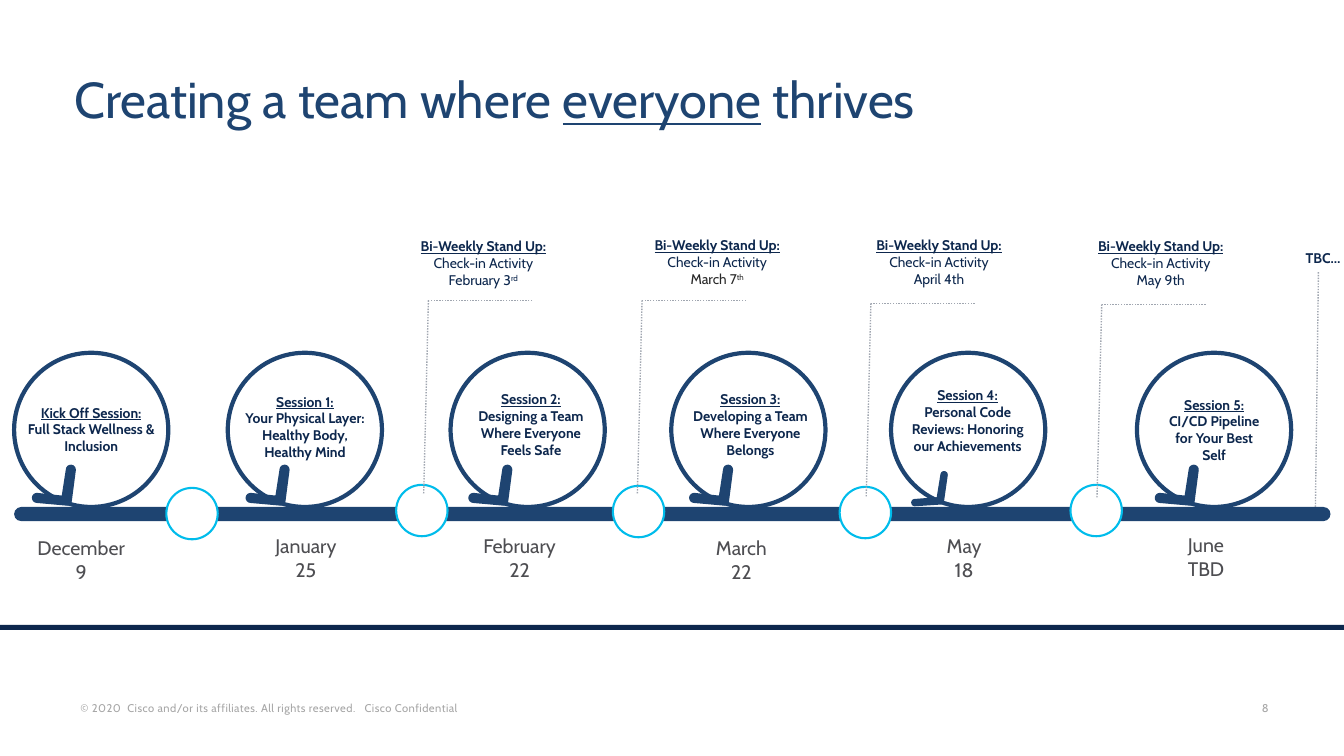
import math

from lxml import etree
from pptx import Presentation
from pptx import util as u
from pptx.dml.color import RGBColor
from pptx.enum import dml, shapes, text
from pptx.oxml.ns import qn

COLUMNS, ROWS = 40, 22.5
CELL = u.Inches(1 / 3)
FONT = "Cabin"
BLUE, NAVY, CYAN, WHITE = "1E4471", "0D274D", "00BCEB", "FFFFFF"
DATE_GREY, LEADER_GREY, FOOTER_GREY, INK = "4E4E52", "A0A6B0", "A6A6A6", "282828"

RING_TOP, RING_SIZE = 10.5, 4.59
BAR_TOP, BEAD_SIZE = 15.09, 1.53
BOLD, HEADING = {"bold": True}, {"bold": True, "underline": True}

# Tail, corner and tip measured from the ring's left edge, then the arm's half width
TICK = ((0.68, 14.82), (1.57, 14.9), (1.69, 13.98), 0.15)
SMALL_TICK = ((0.71, 14.96), (1.47, 14.91), (1.58, 14.13), 0.11)

# Ring left, tick, label box (left, top, width), heading, topic
SESSIONS = [
    (0.42, TICK, (0.42, 11.88, 4.59), "Kick Off Session:", "Full Stack Wellness & Inclusion"),
    (6.78, TICK, (6.9, 11.55, 4.35), "Session 1:",
     "Your Physical Layer: Healthy Body, Healthy Mind"),
    (13.41, TICK, (13.8, 11.49, 4), "Session 2:", "Designing a Team Where Everyone Feels Safe"),
    (19.98, TICK, (20.28, 11.49, 4.11), "Session 3:", "Developing a Team Where Everyone Belongs"),
    (26.52, SMALL_TICK, (26.76, 11.37, 4.08), "Session 4:",
     "Personal Code Reviews: Honoring our Achievements"),
    (33.84, TICK, (34.47, 11.64, 3.33), "Session 5:", "CI/CD Pipeline for Your Best Self"),
]
DATES = [
    (0.75, 15.81, ["December 9"]),
    (7.44, 15.75, ["January", "25"]),
    (13.8, 15.75, ["February", "22"]),
    (20.4, 15.81, ["March", "22"]),
    (27.03, 15.75, ["May", "18"]),
    (34.23, 15.72, ["June", "TBD"]),
]
BEADS = [(4.95, 14.52), (11.79, 14.43), (18.24, 14.46), (24.99, 14.49), (31.86, 14.43)]
# Text left and top, leader left and top, date, ordinal, date colour
STAND_UPS = [
    (12.21, 6.93, 12.75, 8.94, "February 3", "rd", NAVY),
    (19.17, 6.9, 19.11, 8.94, "March 7", "th", INK),
    (25.77, 6.9, 25.92, 9.03, "April 4th", "", NAVY),
    (32.37, 6.93, 32.79, 9.06, "May 9th", "", NAVY),
]


def grid(*cells):
    return [round(cell * CELL) for cell in cells]


def color(hex_value):
    return RGBColor.from_string(hex_value)


def style(shape, fill=None, line=None, width=0):
    shape.shadow.inherit = False
    if fill:
        shape.fill.solid()
        shape.fill.fore_color.rgb = color(fill)
    else:
        shape.fill.background()
    if line:
        shape.line.color.rgb = color(line)
        shape.line.width = u.Pt(width)
    else:
        shape.line.fill.background()
    return shape


def add_preset(slide, kind, box, **look):
    return style(slide.shapes.add_shape(kind, *grid(*box)), **look)


def add_run(paragraph, words, size, hex_value, bold=False, underline=False,
            superscript=False, spacing=0):
    run = paragraph.add_run()
    run.text = words
    font = run.font
    font.name, font.size, font.bold, font.underline = FONT, u.Pt(size), bold, underline
    font.color.rgb = color(hex_value)
    properties = run._r.get_or_add_rPr()
    if superscript:
        properties.set("baseline", "30000")
    if spacing:
        properties.set("spc", str(spacing))


def add_text(slide, box, paragraphs, size, hex_value, align=text.PP_ALIGN.CENTER,
             anchor=text.MSO_ANCHOR.TOP, wrap=True):
    """Each paragraph is a list of (words, run options); None is a line break."""
    frame = slide.shapes.add_textbox(*grid(*box)).text_frame
    frame.word_wrap = wrap
    frame.vertical_anchor = anchor
    for index, runs in enumerate(paragraphs):
        paragraph = frame.add_paragraph() if index else frame.paragraphs[0]
        paragraph.alignment = align
        for item in runs:
            if item is None:
                paragraph.add_line_break()
            else:
                words, options = item
                add_run(paragraph, words, size, **{"hex_value": hex_value, **options})


def add_leader(slide, start, end):
    line = slide.shapes.add_connector(shapes.MSO_CONNECTOR.STRAIGHT, *grid(*start, *end))
    line.line.color.rgb = color(LEADER_GREY)
    line.line.width = u.Pt(1)
    line.line.dash_style = dml.MSO_LINE.ROUND_DOT
    etree.SubElement(line._element.spPr, qn("a:effectLst"))


def arc(center, radius, start, end):
    angles = [math.radians(start + (end - start) * step / 8) for step in range(9)]
    return [(center[0] + radius * math.cos(a), center[1] + radius * math.sin(a)) for a in angles]


def add_tick(slide, ring_left, tick):
    """Round-ended arrowhead where a ring meets the timeline."""
    *joints, radius = tick
    tail, corner, tip = [(ring_left + x, y) for x, y in joints]
    outline = (arc(tail, radius, 275, 95) + arc(corner, radius, 95, 5)
               + arc(tip, radius, 5, -175) + [(corner[0] - radius, corner[1] - radius)])
    points = [tuple(grid(*point)) for point in outline]
    builder = slide.shapes.build_freeform(*points[0])
    builder.add_line_segments(points[1:], close=True)
    style(builder.convert_to_shape(), fill=BLUE)


def add_title(slide):
    title = slide.shapes.title
    title.left, title.top, title.width, title.height = grid(1.92, 1.5, 36.51, 3.21)
    frame = title.text_frame
    frame.auto_size = text.MSO_AUTO_SIZE.NONE
    frame.vertical_anchor = text.MSO_ANCHOR.MIDDLE
    paragraph = frame.paragraphs[0]
    paragraph.alignment = text.PP_ALIGN.LEFT
    paragraph.line_spacing = 0.8
    add_run(paragraph, "Creating a team where ", 36, BLUE)
    add_run(paragraph, "everyone", 36, BLUE, underline=True)
    add_run(paragraph, " thrives", 36, BLUE)


def add_timeline(slide):
    oval = shapes.MSO_SHAPE.OVAL
    bar = add_preset(slide, shapes.MSO_SHAPE.ROUNDED_RECTANGLE, (0.42, BAR_TOP, 39.18, 0.42),
                     fill=BLUE)
    bar.adjustments[0] = 0.5
    for left, tick, label, heading, topic in SESSIONS:
        add_preset(slide, oval, (left, RING_TOP, RING_SIZE, RING_SIZE), line=BLUE, width=3)
        add_tick(slide, left, tick)
        add_text(slide, (*label, 2.31), [[(heading, HEADING), None, (topic, BOLD)]], 10, NAVY)
    for left, top in BEADS:
        add_preset(slide, oval, (left, top, BEAD_SIZE, BEAD_SIZE),
                   fill=WHITE, line=CYAN, width=1.5)
    for left, top, lines in DATES:
        add_text(slide, (left, top, 3.33, 1.71), [[(line, {})] for line in lines], 14, DATE_GREY)


def add_stand_ups(slide):
    for left, top, leader_left, leader_top, date, ordinal, date_color in STAND_UPS:
        corner = (leader_left, leader_top)
        add_leader(slide, corner, (leader_left - 0.14, leader_top + 5.76))
        add_leader(slide, (leader_left + 3.09, leader_top), corner)
        when = [(date, {"hex_value": date_color})]
        if ordinal:
            when.append((ordinal, {"hex_value": date_color, "superscript": True}))
        add_text(slide, (left, top, 4.35, 1.83),
                 [[("Bi-Weekly Stand Up:", HEADING)], [("Check-in Activity", {})], when],
                 10, NAVY)
    add_text(slide, (38.01, 7.29, 2.73, 0.81), [[("TBC…", BOLD)]], 10, NAVY)
    add_leader(slide, (39.24, 8.1), (39.15, BAR_TOP))


def add_footer(slide):
    add_preset(slide, shapes.MSO_SHAPE.RECTANGLE, (0, 18.6, COLUMNS, 0.15), fill=NAVY)
    notice = "© 2020  Cisco and/or its affiliates. All rights reserved.   Cisco Confidential"
    for left, width, words, wrap in ((2.1, 14.88, notice, True), (37.26, 0.99, "8", False)):
        add_text(slide, (left, 20.74, width, 0.69), [[(words, {"spacing": 30})]], 8, FOOTER_GREY,
                 text.PP_ALIGN.LEFT, text.MSO_ANCHOR.BOTTOM, wrap)


def main():
    presentation = Presentation()
    presentation.slide_width, presentation.slide_height = grid(COLUMNS, ROWS)
    slide = presentation.slides.add_slide(presentation.slide_layouts[5])
    add_title(slide)
    add_timeline(slide)
    add_stand_ups(slide)
    add_footer(slide)
    presentation.save("out.pptx")


if __name__ == "__main__":
    main()
